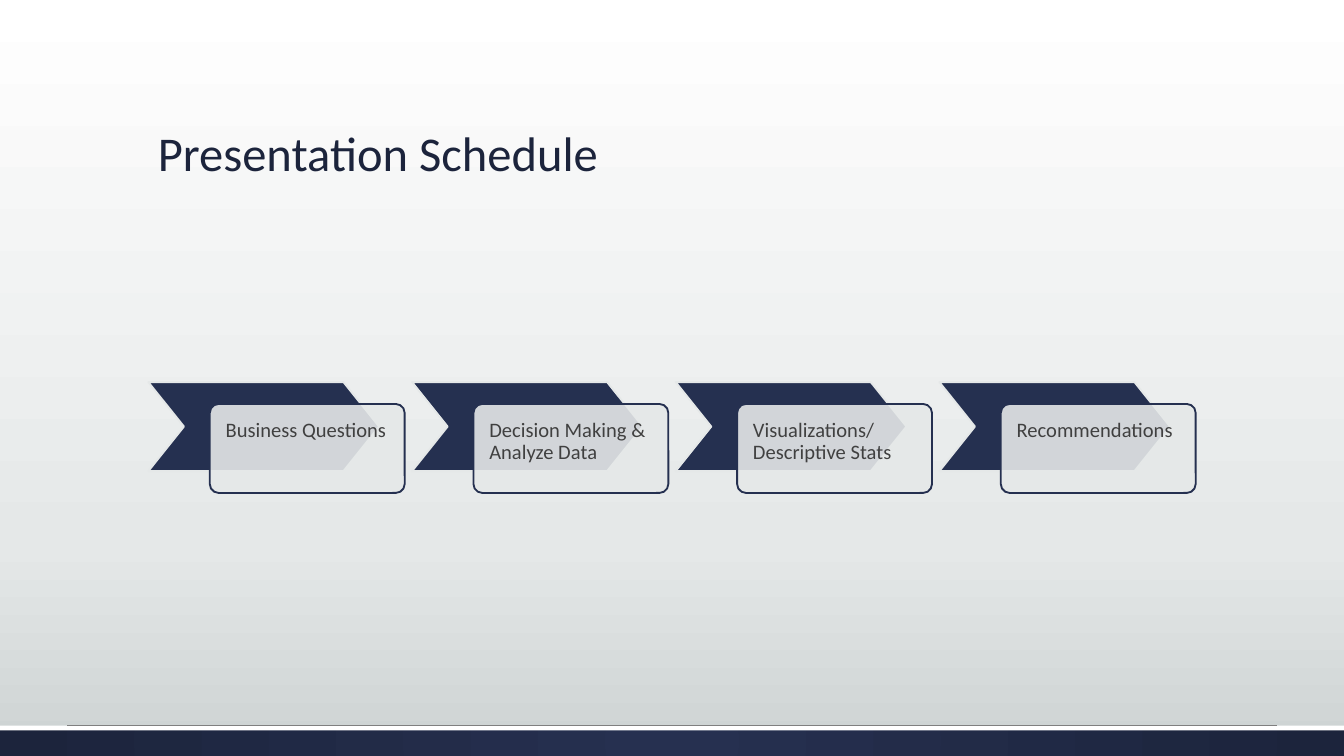
import copy
from dataclasses import dataclass

import lxml.etree
import pptx
import pptx.dml.color
import pptx.enum.shapes
import pptx.enum.text
import pptx.oxml
import pptx.oxml.ns
import pptx.util

Pt = pptx.util.Pt
qn = pptx.oxml.ns.qn
SHAPES = pptx.enum.shapes.MSO_SHAPE
ANCHOR = pptx.enum.text.MSO_ANCHOR

COLORS = {
    "navy": "253050", "bar": "263050", "ink": "1C243C", "text": "404040",
    "mist": "E5E8E8", "fog": "CCD2D2", "white": "FFFFFF", "rule": "7F7F7F",
}
FONT = "Calibri"
PAGE_WIDTH, PAGE_HEIGHT = 720, 405


@dataclass
class Box:
    left: float
    top: float
    width: float
    height: float

    def lengths(self) -> list:
        return [Pt(v) for v in (self.left, self.top, self.width, self.height)]


@dataclass
class Step:
    label: str
    left: float


def rgb(name: str) -> pptx.dml.color.RGBColor:
    return pptx.dml.color.RGBColor.from_string(COLORS[name])


def set_gradient(fill, owner, stops: list) -> None:
    """Fill from top to bottom with (percent, colour name) stops."""
    fill.gradient()
    fill.gradient_angle = 270
    stop_list = next(owner.iter(qn("a:gsLst")))
    while len(stop_list) < len(stops):
        stop_list.append(copy.deepcopy(stop_list[-1]))
    for stop, (percent, color) in zip(fill.gradient_stops, stops):
        stop.position = percent / 100
        stop.color.rgb = rgb(color)


def add_filled(page, kind, box: Box, fill: str, line: str = ""):
    shape = page.shapes.add_shape(kind, *box.lengths())
    shape.shadow.inherit = False
    shape.fill.solid()
    shape.fill.fore_color.rgb = rgb(fill)
    if line:
        shape.line.color.rgb = rgb(line)
        shape.line.width = Pt(1)
    else:
        shape.line.fill.background()
    return shape


def write(shape, words: str, size: float, color: str, anchor, margins: tuple) -> None:
    frame = shape.text_frame
    frame.text = words
    frame.word_wrap = True
    frame.vertical_anchor = anchor
    frame.margin_left = frame.margin_right = Pt(margins[0])
    frame.margin_top = frame.margin_bottom = Pt(margins[1])
    para = frame.paragraphs[0]
    para.alignment = pptx.enum.text.PP_ALIGN.LEFT
    para.line_spacing = 0.9
    for span in para.runs:
        span.font.name = FONT
        span.font.size = Pt(size)
        span.font.color.rgb = rgb(color)


def add_footer(page) -> None:
    bar = add_filled(page, SHAPES.RECTANGLE, Box(0, 388.8, PAGE_WIDTH, 16.2), "bar")
    set_gradient(bar.fill, bar._element, [(0, "bar"), (100, "ink")])
    # Turn the linear gradient into one that spreads from the centre
    linear = next(bar._element.iter(qn("a:lin")))
    radial = pptx.oxml.parse_xml(
        f'<a:path {pptx.oxml.ns.nsdecls("a")} path="circle">'
        '<a:fillToRect l="50000" t="50000" r="50000" b="50000"/></a:path>')
    linear.getparent().replace(linear, radial)
    add_filled(page, SHAPES.RECTANGLE, Box(0, 388.8, PAGE_WIDTH, 2.6), "white")

    rule = page.shapes.add_connector(
        pptx.enum.shapes.MSO_CONNECTOR.STRAIGHT, Pt(36), Pt(388.5), Pt(684), Pt(388.5))
    rule.line.color.rgb = rgb("rule")
    rule.line.width = Pt(0.5)
    lxml.etree.SubElement(rule._element.spPr, qn("a:effectLst"))


def add_step(page, step: Step) -> None:
    chevron = add_filled(
        page, SHAPES.CHEVRON, Box(step.left, 204.7, 123.6, 47.7), "navy", "mist")
    chevron.adjustments[0] = 0.4
    card = add_filled(
        page, SHAPES.ROUNDED_RECTANGLE, Box(step.left + 32.9, 216.4, 104.4, 47.7),
        "mist", "navy")
    card.adjustments[0] = 0.1
    # Let the chevron show through the card
    card_color = next(card._element.spPr.iter(qn("a:srgbClr")))
    lxml.etree.SubElement(card_color, qn("a:alpha")).set("val", "90000")
    write(card, step.label, 11, "text", ANCHOR.TOP, (7.2, 7.2))


def main() -> None:
    deck = pptx.Presentation()
    deck.slide_width, deck.slide_height = Pt(PAGE_WIDTH), Pt(PAGE_HEIGHT)
    page = deck.slides.add_slide(deck.slide_layouts[6])

    # Background and footer
    set_gradient(page.background.fill, page._element,
                 [(0, "white"), (72, "mist"), (100, "fog")])
    add_footer(page)

    # Title
    title = page.shapes.add_textbox(*Box(79.2, 27.4, 561.6, 72.7).lengths())
    write(title, "Presentation Schedule", 26, "ink", ANCHOR.BOTTOM, (5.4, 2.7))

    # Schedule steps, evenly spaced
    labels = ["Business Questions", "Decision Making & Analyze Data",
              "Visualizations/Descriptive Stats", "Recommendations"]
    for index, label in enumerate(labels):
        add_step(page, Step(label, 79.5 + index * 141.25))

    deck.save("out.pptx")


if __name__ == "__main__":
    main()
